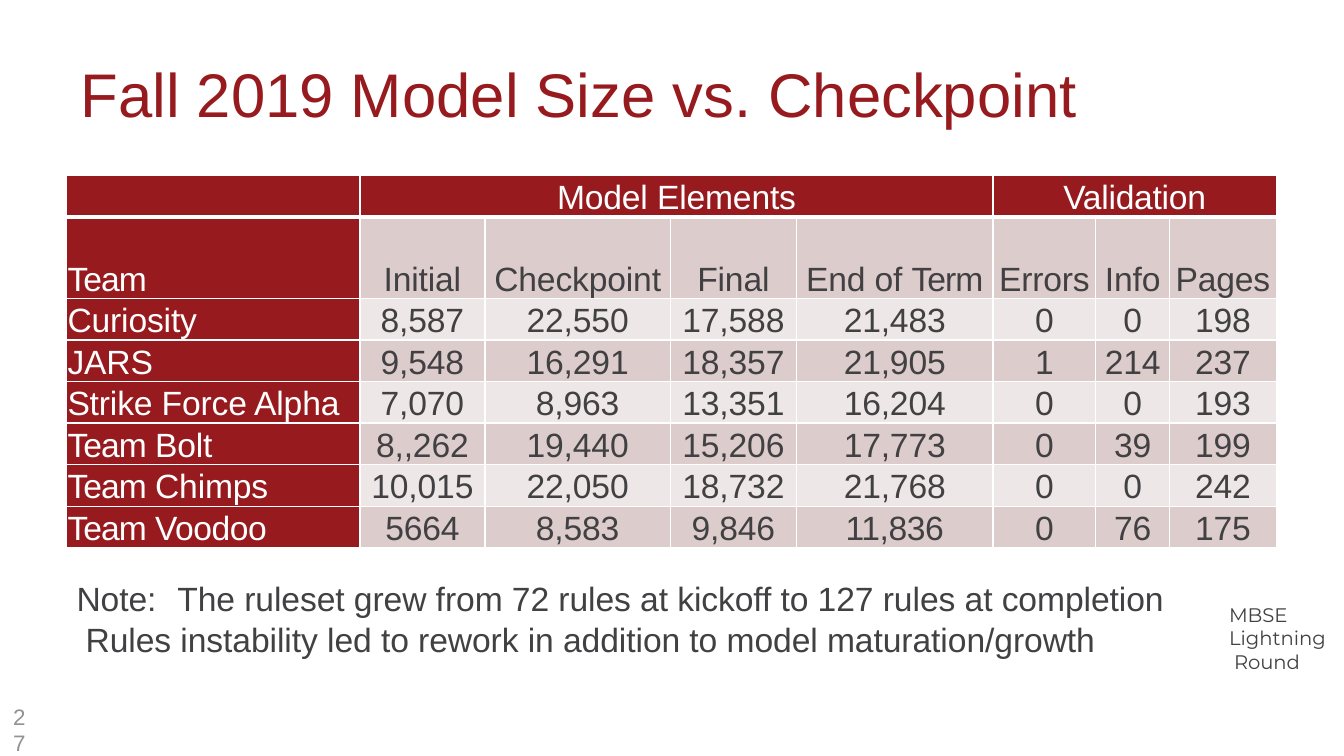
from dataclasses import dataclass
from typing import Any

from lxml.etree import SubElement
from pptx import Presentation
from pptx.dml.color import RGBColor
from pptx.enum.text import MSO_ANCHOR, PP_ALIGN
from pptx.oxml.ns import qn
from pptx.util import Pt

PX = 9144
RED, PINK, PALE, GREY, WHITE = "971B1E", "DDCCCC", "EEE7E7", "414042", "FFFFFF"
TIGHT = -70


@dataclass(frozen=True)
class Span:
    text: str
    tracking: int = -10


@dataclass(frozen=True)
class Style:
    size: int
    color: str
    font: str = "Arial"
    align: PP_ALIGN = PP_ALIGN.LEFT
    leading: float | None = None


@dataclass(frozen=True)
class Line:
    spans: tuple[Span, ...]
    indent: int = 1
    before: float = 0
    tab: int = 0


@dataclass(frozen=True)
class TextBox:
    left: int
    top: int
    width: int
    height: int
    inset: int
    style: Style
    lines: tuple[Line, ...]


def px(length: int) -> int:
    return length * PX


def rgb(value: str) -> RGBColor:
    return RGBColor.from_string(value)


def apply(target: Any, values: dict[str, Any]) -> None:
    for name, value in values.items():
        setattr(target, name, value)


def margins(top: int) -> dict[str, int]:
    return {"margin_left": 0, "margin_right": 0, "margin_top": px(top), "margin_bottom": 0}


def write_line(para: Any, line: Line, style: Style) -> None:
    properties = para._p.get_or_add_pPr()
    properties.set("marL", str(px(line.indent)))
    properties.set("indent", "0")
    if line.tab:
        tabs = SubElement(properties, qn("a:tabLst"))
        SubElement(tabs, qn("a:tab"), pos=str(px(line.tab)), algn="l")
    para.alignment = style.align
    if style.leading:
        para.line_spacing = Pt(style.leading)
    if line.before:
        para.space_before = Pt(line.before)
    for part in line.spans:
        span = para.add_run()
        span.text = part.text
        apply(span.font, {"name": style.font, "size": Pt(style.size)})
        span.font.color.rgb = rgb(style.color)
        span._r.get_or_add_rPr().set("spc", str(part.tracking))


def add_text(page: Any, item: TextBox) -> None:
    box = page.shapes.add_textbox(px(item.left), px(item.top), px(item.width), px(item.height))
    frame = box.text_frame
    apply(frame, {"word_wrap": True, **margins(item.inset)})
    for index, line in enumerate(item.lines):
        para = frame.add_paragraph() if index else frame.paragraphs[0]
        write_line(para, line, item.style)


def add_borders(cell: Any, widths: dict[str, int]) -> None:
    properties = cell._tc.get_or_add_tcPr()
    for side, width in widths.items():
        border = SubElement(properties, qn(f"a:ln{side}"), w=str(Pt(width)))
        fill = SubElement(border, qn("a:solidFill"))
        SubElement(fill, qn("a:srgbClr"), val=WHITE)


def as_spans(value: Any) -> tuple[Span, ...]:
    return value if isinstance(value, tuple) else (Span(value),)


COLUMNS = (291, 124, 184, 125, 195, 102, 73, 106)
ROWS = (41, 81, 41, 41, 41, 41, 41, 41)
HEADER_GROUPS = ((1, 4), (5, 7))
TEAM = Span("Team ", TIGHT)
CELLS = (
    ("", "Model Elements", "", "", "", (Span("Validation", -20),), "", ""),
    ((Span("Team", TIGHT),), "Initial", "Checkpoint", "Final",
     (Span("End of "), Span("Term", TIGHT)), "Errors", "Info", "Pages"),
    ("Curiosity", "8,587", "22,550", "17,588", "21,483", "0", "0", "198"),
    ("JARS", "9,548", "16,291", "18,357", "21,905", "1", "214", "237"),
    ("Strike Force Alpha", "7,070", "8,963", "13,351", "16,204", "0", "0", "193"),
    ((TEAM, Span("Bolt")), "8,,262", "19,440", "15,206", "17,773", "0", "39", "199"),
    ((TEAM, Span("Chimps")), "10,015", "22,050", "18,732", "21,768", "0", "0", "242"),
    ((TEAM, Span("Voodoo", -30)), "5664", "8,583", "9,846",
     (Span("11,836", -30),), "0", "76", "175"),
)


def add_size_table(page: Any) -> None:
    frame = page.shapes.add_table(
        len(ROWS), len(COLUMNS), px(66), px(174), px(sum(COLUMNS)), px(sum(ROWS)))
    table = frame.table
    for column, width in zip(table.columns, COLUMNS):
        column.width = px(width)
    for row, height in zip(table.rows, ROWS):
        row.height = px(height)
    for first, last in HEADER_GROUPS:
        table.cell(0, first).merge(table.cell(0, last))
    for r, values in enumerate(CELLS):
        for c, value in enumerate(values):
            cell = table.cell(r, c)
            header = r == 0 or c == 0
            anchor = MSO_ANCHOR.BOTTOM if r == 1 else MSO_ANCHOR.TOP
            apply(cell, {"vertical_anchor": anchor, **margins(0 if r == 1 else 2)})
            add_borders(cell, {"L": 1, "R": 1, "T": 3 if r == 1 else 1, "B": 3 if r == 0 else 1})
            cell.fill.solid()
            cell.fill.fore_color.rgb = rgb(RED if header else PINK if r % 2 else PALE)
            if value:
                style = Style(24, WHITE if header else GREY, leading=28.2,
                              align=PP_ALIGN.CENTER if c else PP_ALIGN.LEFT)
                line = Line(as_spans(value), indent=0 if c else 1)
                write_line(cell.text_frame.paragraphs[0], line, style)


TEXTS = (
    TextBox(1218, 596, 102, 73, 2, Style(14, GREY, "Montserrat"), (
        Line((Span("MBSE"),)),
        Line((Span("Lightning", 0),)),
        Line((Span("Round"),), indent=6))),
    TextBox(9, 698, 21, 54, 0, Style(16, "929292", leading=18.6), (
        Line((Span("2"),), indent=4),
        Line((Span("7"),), indent=4))),
    TextBox(79, 53, 993, 76, 3, Style(44, RED), (
        Line((Span("Fall 2019 Model Size vs. Checkpoint", 0),)),)),
    TextBox(75, 571, 1083, 83, 2, Style(24, GREY), (
        Line((Span("Note:\tThe ruleset grew from 72 rules at kickoff to 127 rules at completion",
                   -7),), tab=99),
        Line((Span("Rules instability led to rework in addition to model maturation/growth",
                   -7),), indent=10, before=1))),
)


def main() -> None:
    deck = Presentation()
    apply(deck, {"slide_width": px(1333), "slide_height": px(750)})
    page = deck.slides.add_slide(deck.slide_layouts[6])
    add_size_table(page)
    for item in TEXTS:
        add_text(page, item)
    deck.save("out.pptx")


if __name__ == "__main__":
    main()
